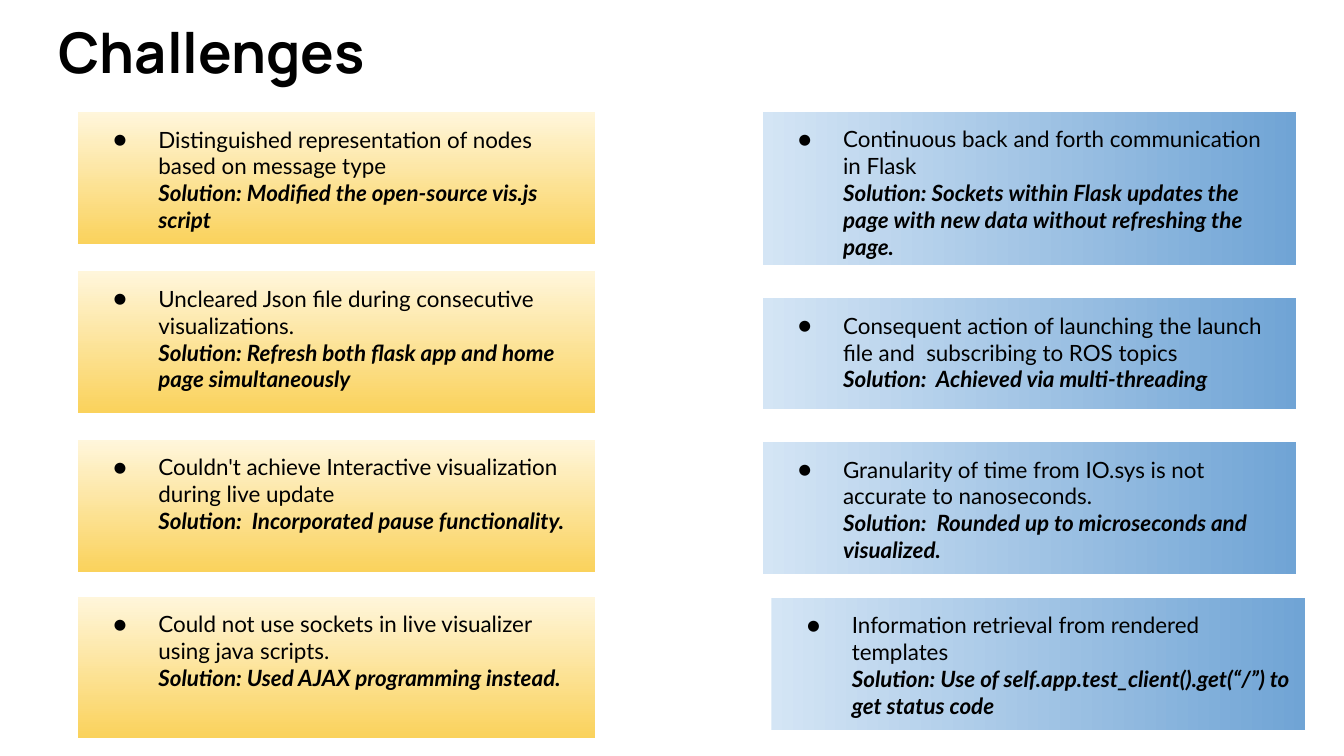
from lxml import etree
from pptx import Presentation
from pptx import util as u
from pptx.dml.color import RGBColor
from pptx.enum import shapes, text
from pptx.oxml.ns import qn

PX = 4572  # 200 px to the inch


def paint(color, code):
    color.rgb = RGBColor.from_string(code)


def style(frame, font, size):
    """Set margins, left alignment and black text."""
    frame.margin_left = frame.margin_right = 20 * PX
    frame.margin_top = frame.margin_bottom = 20 * PX
    for par in frame.paragraphs:
        par.alignment = text.PP_ALIGN.LEFT
        for run in par.runs:
            run.font.name = font
            run.font.size = u.Pt(size)
            paint(run.font.color, "000000")


deck = Presentation()
deck.slide_width, deck.slide_height = 2000 * PX, 1125 * PX
slide = deck.slides.add_slide(deck.slide_layouts[5])

title = slide.shapes.title
title.left, title.top, title.width, title.height = 67 * PX, 6 * PX, 1864 * PX, 140 * PX
frame = title.text_frame
frame.text = "Challenges"
frame.auto_size = text.MSO_AUTO_SIZE.NONE
frame.vertical_anchor = text.MSO_ANCHOR.MIDDLE
style(frame, "Manrope", 30)
frame.paragraphs[0].runs[0].font.bold = True

# Each column: width, gradient ends, gradient angle, cards.
# Each card: left, top, height, challenge, solution.
columns = [
    (770, ("FFF6DB", "FAD25C"), 270, [
        (116, 167, 196, "Distinguished representation of nodes based on message type",
         "Solution: Modified the open-source vis.js script"),
        (116, 404, 210, "Uncleared Json file during consecutive visualizations.",
         "Solution: Refresh both flask app and home page simultaneously"),
        (116, 655, 196, "Couldn't achieve Interactive visualization during live update",
         "Solution:  Incorporated pause functionality."),
        (116, 888, 210, "Could not use sockets in live visualizer using java scripts.",
         "Solution: Used AJAX programming instead."),
    ]),
    (794, ("D4E5F5", "70A4D5"), 0, [
        (1135, 167, 228, "Continuous back and forth communication in Flask",
         "Solution: Sockets within Flask updates the page with new data "
         "without refreshing the page."),
        (1135, 444, 165, "Consequent action of launching the launch file and  "
         "subscribing to ROS topics",
         "Solution:  Achieved via multi-threading"),
        (1135, 658, 196, "Granularity of time from IO.sys is not accurate to nanoseconds.",
         "Solution:  Rounded up to microseconds and visualized."),
        (1148, 890, 196, "Information retrieval from rendered templates",
         "Solution: Use of self.app.test_client().get(“/”) to get status code"),
    ]),
]

for width, ends, angle, cards in columns:
    for left, top, height, issue, answer in cards:
        card = slide.shapes.add_shape(shapes.MSO_SHAPE.RECTANGLE, left * PX, top * PX,
                                      width * PX, height * PX)
        card.shadow.inherit = False
        card.line.fill.background()
        card.fill.gradient()
        card.fill.gradient_angle = angle
        for stop, code in zip(card.fill.gradient_stops, ends):
            paint(stop.color, code)

        frame = card.text_frame
        frame.word_wrap = True
        frame.vertical_anchor = text.MSO_ANCHOR.TOP
        frame.text = issue
        frame.add_paragraph().text = answer
        style(frame, "Lato", 12)
        first, last = frame.paragraphs
        for par, indent in ((first, -67), (last, 0)):
            props = par._p.get_or_add_pPr()
            props.set("marL", str(100 * PX))
            props.set("indent", str(indent * PX))

        props = first._p.get_or_add_pPr()
        tint = etree.SubElement(props, qn("a:buClr"))
        etree.SubElement(tint, qn("a:srgbClr"), val="000000")
        etree.SubElement(props, qn("a:buFont"), typeface="Lato")
        etree.SubElement(props, qn("a:buChar"), char="●")
        last.runs[0].font.bold = last.runs[0].font.italic = True

deck.save("out.pptx")
